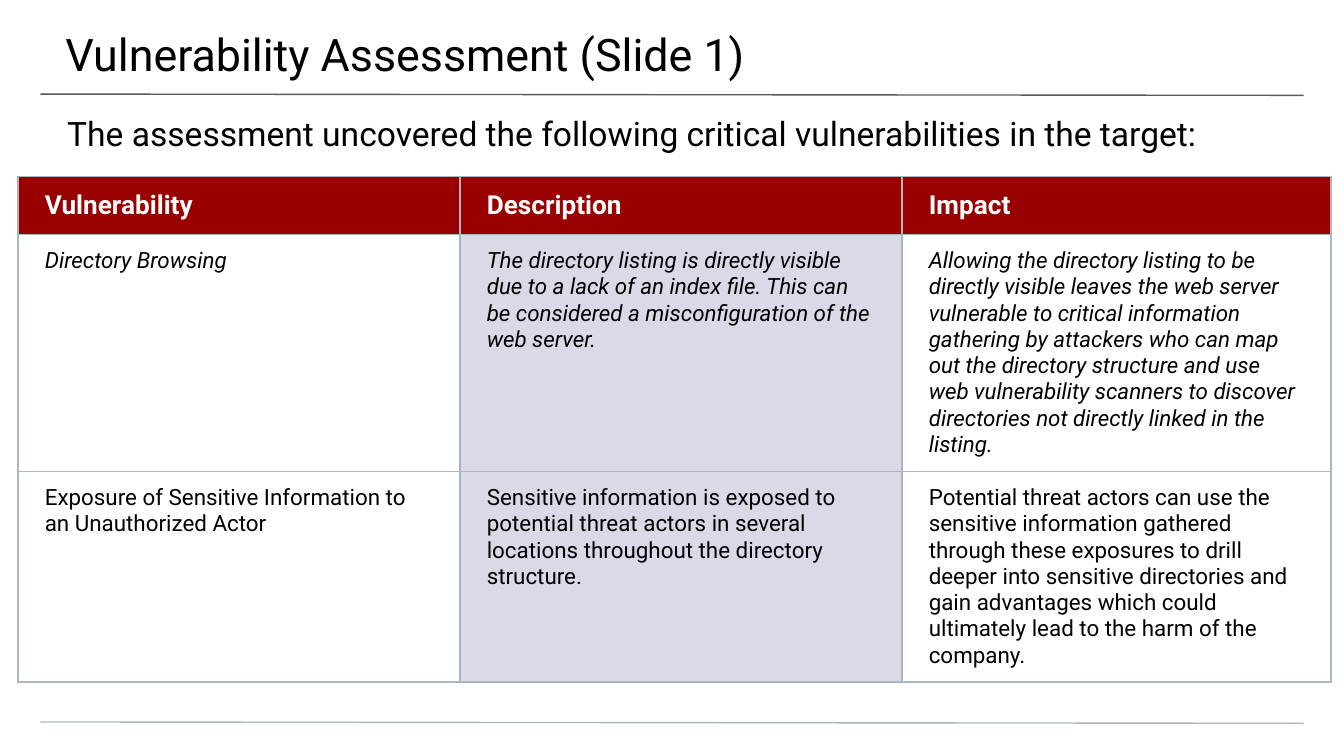
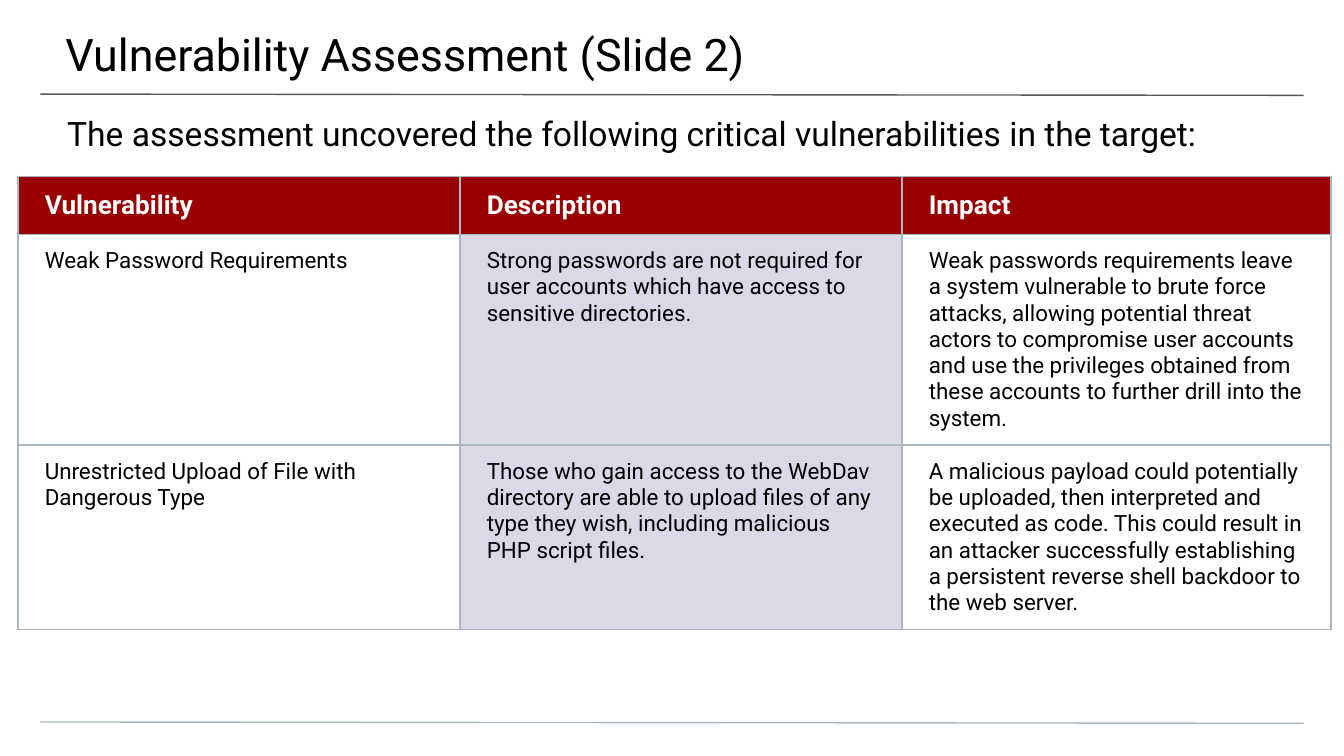
from dataclasses import dataclass

from lxml import etree
from pptx import Presentation
from pptx.dml.color import RGBColor
from pptx.enum.shapes import MSO_CONNECTOR
from pptx.enum.text import MSO_ANCHOR, MSO_AUTO_SIZE, PP_ALIGN
from pptx.oxml.ns import qn
from pptx.util import Pt

LEFT = PP_ALIGN.LEFT
TOP, MIDDLE = MSO_ANCHOR.TOP, MSO_ANCHOR.MIDDLE
NO_AUTOFIT = MSO_AUTO_SIZE.NONE
STRAIGHT = MSO_CONNECTOR.STRAIGHT


@dataclass(frozen=True)
class Theme:
    font: str = "Roboto"
    text: str = "000000"
    paper: str = "FFFFFF"
    header: str = "990000"
    column: str = "DBD9E8"
    title_rule: str = "595959"
    border: str = "A9B7C0"
    title_size: float = 24
    subtitle_size: float = 18
    header_size: float = 14
    cell_size: float = 12
    line_width: float = 0.75


class Deck:
    def __init__(self, theme):
        self.theme = theme
        self.prs = Presentation()
        self.prs.slide_width, self.prs.slide_height = Pt(720), Pt(405)
        self.s = None

    def new_slide(self):
        self.s = self.prs.slides.add_slide(self.prs.slide_layouts[0])
        self.s.background.fill.solid()
        self.s.background.fill.fore_color.rgb = RGBColor.from_string(self.theme.paper)

    def set_text(self, tf, text, size, color, bold=False, italic=False):
        tf.text = text
        p = tf.paragraphs[0]
        p.alignment = LEFT
        p.space_before = Pt(0)
        p.font.name = self.theme.font
        p.font.size = Pt(size)
        p.font.bold, p.font.italic = bold, italic
        p.font.color.rgb = RGBColor.from_string(color)

    def placeholder(self, index, text, box, insets, size):
        """Place a template placeholder; insets run left, top, right, bottom."""
        sp = self.s.placeholders[index]
        sp.left, sp.top, sp.width, sp.height = map(Pt, box)
        tf = sp.text_frame
        tf.word_wrap = True
        tf.auto_size = NO_AUTOFIT
        tf.vertical_anchor = TOP
        (tf.margin_left, tf.margin_top,
         tf.margin_right, tf.margin_bottom) = map(Pt, insets)
        self.set_text(tf, text, size, self.theme.text)

    def title(self, text):
        self.placeholder(0, text, (-1, 0, 722, 42), (36, 14.4, 21.6, 7.2),
                         self.theme.title_size)

    def subtitle(self, text):
        self.placeholder(1, text, (0, 53.3, 720, 28.8), (36, 7.2, 36, 0),
                         self.theme.subtitle_size)

    def rule(self, y, color):
        """Draw a page-wide line with the slight slope of the template."""
        line = self.s.shapes.add_connector(
            STRAIGHT, Pt(21.6), Pt(y), Pt(698.4), Pt(y + 0.7))
        line.line.color.rgb = RGBColor.from_string(color)
        line.line.width = Pt(self.theme.line_width)
        etree.SubElement(line._element.spPr, qn("a:effectLst"))

    def borders(self, cell):
        tcPr = cell._tc.get_or_add_tcPr()
        for side in ("a:lnL", "a:lnR", "a:lnT", "a:lnB"):
            ln = etree.SubElement(tcPr, qn(side), w=str(Pt(self.theme.line_width)))
            fill = etree.SubElement(ln, qn("a:solidFill"))
            etree.SubElement(fill, qn("a:srgbClr"), val=self.theme.border)

    def cell(self, cell, text, fill, size, color, anchor=TOP, bold=False, italic=False):
        cell.margin_left = cell.margin_right = Pt(14.4)
        cell.margin_top = cell.margin_bottom = Pt(7.2)
        cell.vertical_anchor = anchor
        self.borders(cell)
        if fill:
            cell.fill.solid()
            cell.fill.fore_color.rgb = RGBColor.from_string(fill)
        else:
            cell.fill.background()
        self.set_text(cell.text_frame, text, size, color, bold, italic)

    def table(self, rows, heights, italic_rows):
        t = self.theme
        widths = (236.8, 236.8, 229.9)
        frame = self.s.shapes.add_table(
            len(rows) + 1, len(widths), Pt(9.6), Pt(94.6),
            Pt(sum(widths)), Pt(sum(heights)))
        table = frame.table
        table.first_row = table.horz_banding = False
        for column, width in zip(table.columns, widths):
            column.width = Pt(width)
        for row, height in zip(table.rows, heights):
            row.height = Pt(height)
        for c, text in enumerate(HEADINGS):
            self.cell(table.cell(0, c), text, t.header, t.header_size, t.paper,
                      anchor=MIDDLE, bold=True)
        for r, row in enumerate(rows, 1):
            for c, text in enumerate(row):
                fill = t.column if c == 1 else None
                self.cell(table.cell(r, c), text, fill, t.cell_size, t.text,
                          italic=r in italic_rows)

    def assessment(self, number, rows, heights, italic_rows=()):
        self.new_slide()
        self.rule(50.4, self.theme.title_rule)
        self.rule(386.8, self.theme.border)
        self.title(f"Vulnerability Assessment (Slide {number})")
        self.subtitle("The assessment uncovered the following critical "
                      "vulnerabilities in the target:")
        self.table(rows, heights, italic_rows)


HEADINGS = ("Vulnerability", "Description", "Impact")

EXPOSURE_ROWS = (
    ("Directory Browsing",
     "The directory listing is directly visible due to a lack of an index file. "
     "This can be considered a misconfiguration of the web server.",
     "Allowing the directory listing to be directly visible leaves the web server "
     "vulnerable to critical information gathering by attackers who can map out the "
     "directory structure and use web vulnerability scanners to discover directories "
     "not directly linked in the listing."),
    ("Exposure of Sensitive Information to an Unauthorized Actor",
     "Sensitive information is exposed to potential threat actors in several "
     "locations throughout the directory structure.",
     "Potential threat actors can use the sensitive information gathered through "
     "these exposures to drill deeper into sensitive directories and gain advantages "
     "which could ultimately lead to the harm of the company."),
)

ACCESS_ROWS = (
    ("Weak Password Requirements",
     "Strong passwords are not required for user accounts which have access to "
     "sensitive directories.",
     "Weak passwords requirements leave a system vulnerable to brute force attacks, "
     "allowing potential threat actors to compromise user accounts and use the "
     "privileges obtained from these accounts to further drill into the system."),
    ("Unrestricted Upload of File with Dangerous Type",
     "Those who gain access to the WebDav directory are able to upload files of any "
     "type they wish, including malicious PHP script files.",
     "A malicious payload could potentially be uploaded, then interpreted and "
     "executed as code. This could result in an attacker successfully establishing "
     "a persistent reverse shell backdoor to the web server."),
)


def main():
    deck = Deck(Theme())
    deck.assessment(1, EXPOSURE_ROWS, (23.8, 99.4, 88.6), italic_rows=(1,))
    deck.assessment(2, ACCESS_ROWS, (31, 60.5, 60.5))
    deck.prs.save("out.pptx")


if __name__ == "__main__":
    main()
